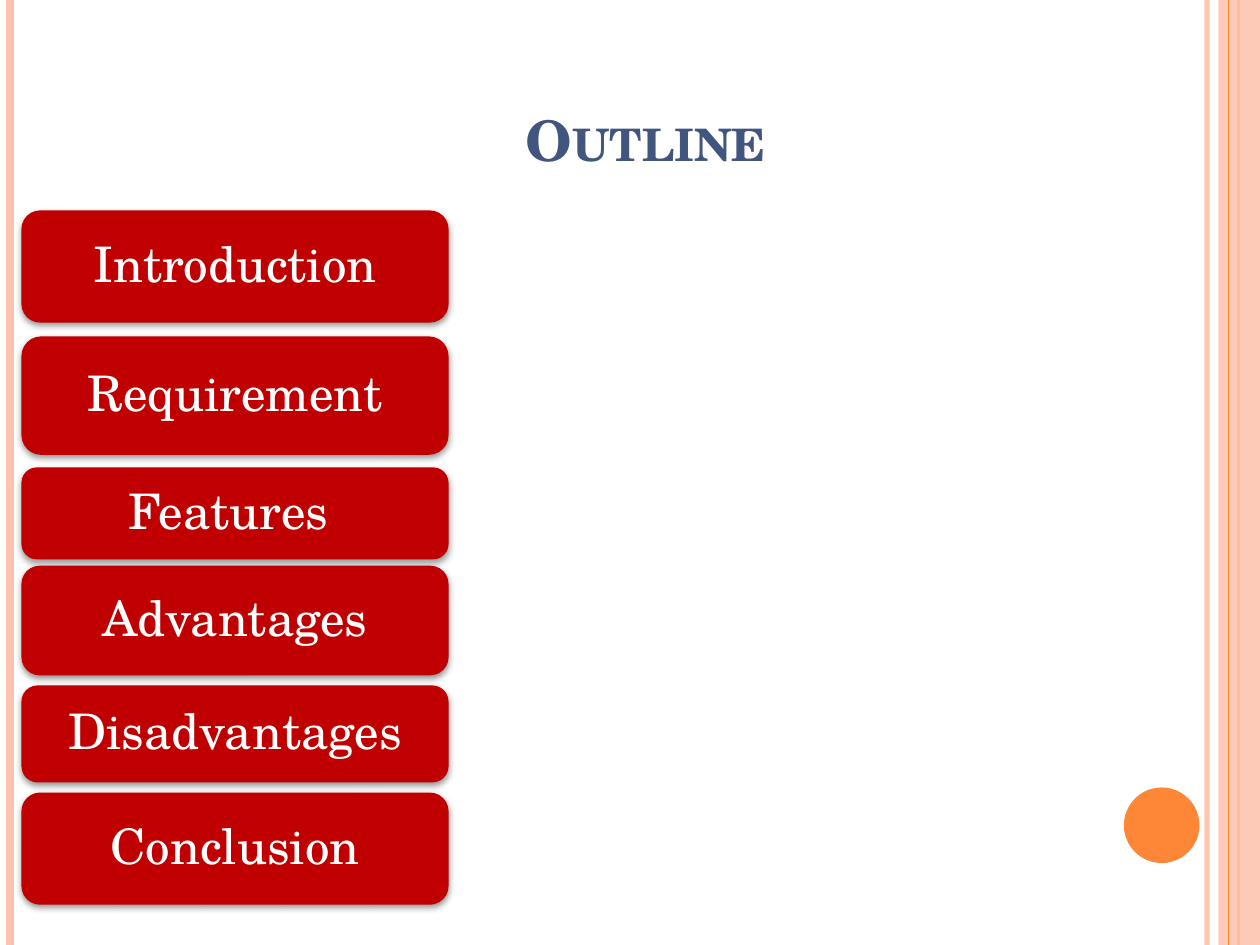
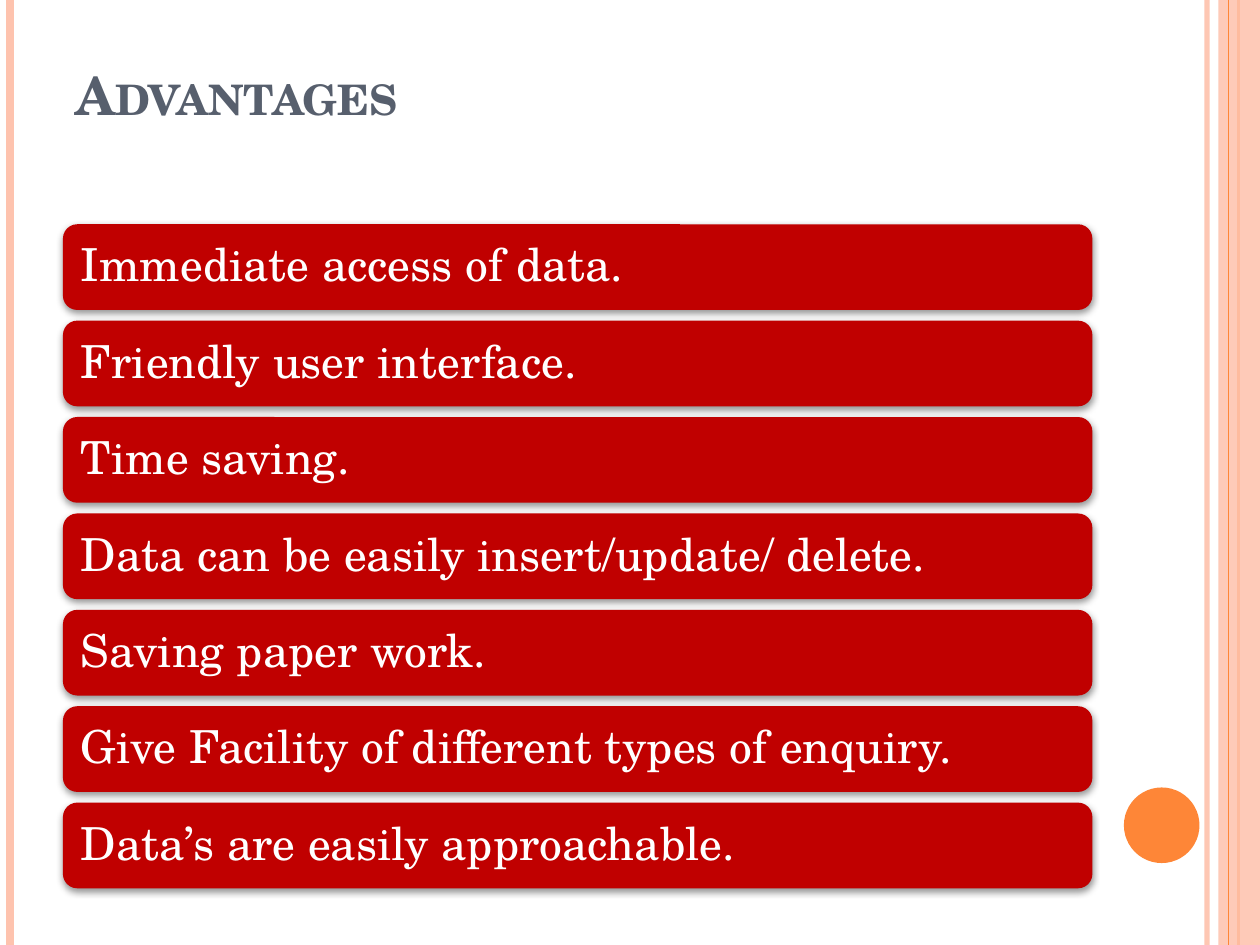
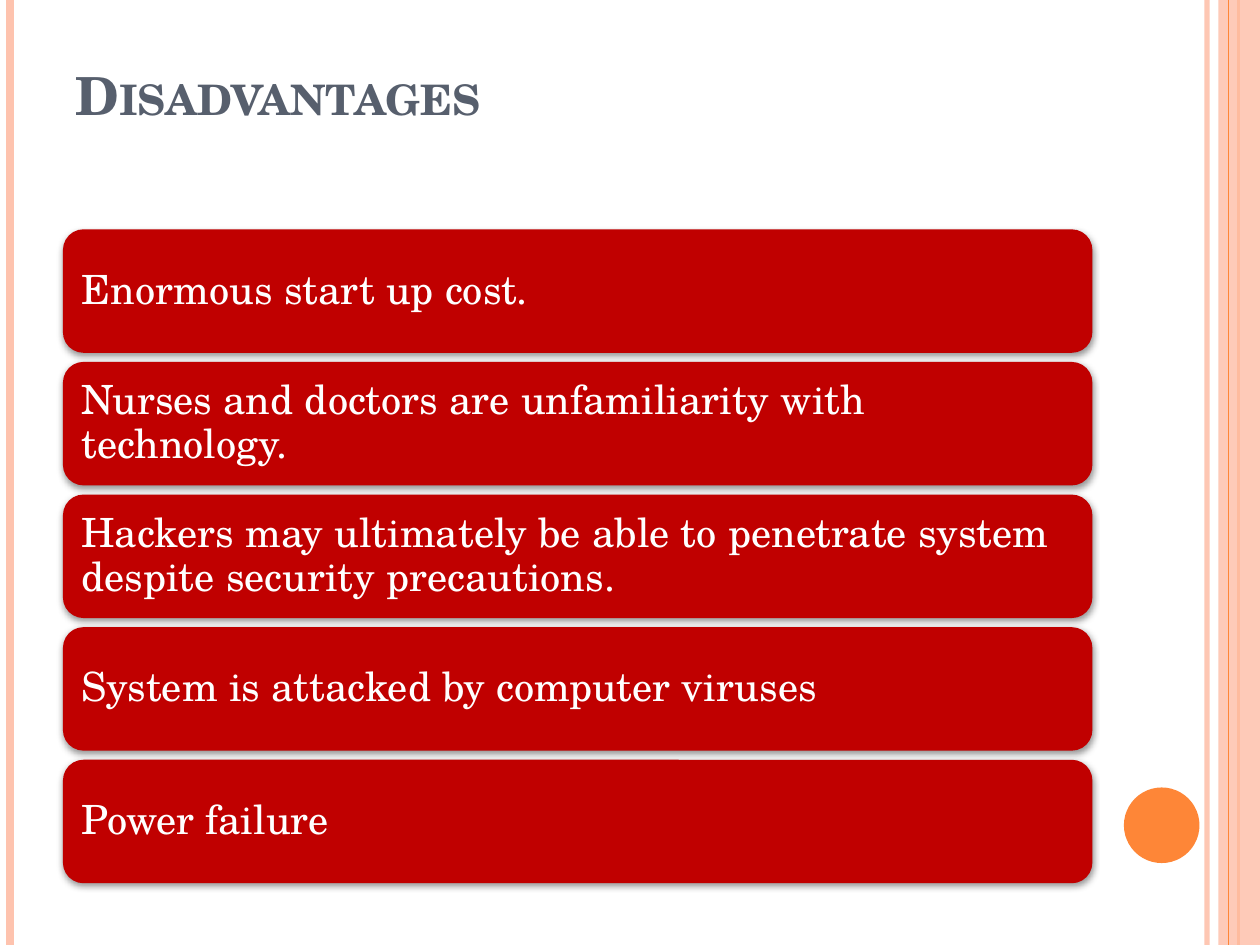
from typing import NamedTuple, Optional

from lxml.etree import SubElement as Sub
from pptx import Presentation
from pptx.dml.color import RGBColor
from pptx.enum.shapes import MSO_CONNECTOR as Wire, MSO_SHAPE as Kind
from pptx.enum.text import MSO_ANCHOR as Anchor, PP_ALIGN as Align
from pptx.oxml.ns import qn
from pptx.util import Inches, Pt

# Shared look
FONT = "TeX Gyre Schola"
PEACH = RGBColor(0xFE, 0xC3, 0xAE)
ORANGE = RGBColor(0xFE, 0x86, 0x37)
RED = RGBColor(0xC0, 0x00, 0x00)
WHITE = RGBColor(0xFF, 0xFF, 0xFF)
BLACK = RGBColor(0x00, 0x00, 0x00)
BLUE = RGBColor(0x42, 0x55, 0x7F)
SLATE = RGBColor(0x57, 0x5F, 0x6D)
WIDE, HIGH = 10, 7.5


class Box(NamedTuple):
    left: float
    top: float
    width: float
    height: float


class Rule(NamedTuple):
    x: float
    color: RGBColor
    weight: float
    alpha: Optional[int] = None


class Title(NamedTuple):
    text: str
    box: Box
    size: int
    color: RGBColor
    align: Align
    foot: float  # space below the words


class Style(NamedTuple):
    size: int
    align: Align
    side: float  # left and right inset
    edge: float  # top and bottom inset


class Bar(NamedTuple):
    text: str
    box: Box


LOW_RULES = [Rule(9.58, PEACH, 3, 93), Rule(0.08, PEACH, 4.5), Rule(9.83, ORANGE, 1.5)]
TOP_RULE = Rule(9.75, ORANGE, 0.75)
BAND = Box(9.67, 0, 0.33, HIGH)
DISC = Box(8.92, 6.25, 0.6, 0.6)
HEAD = Box(0.5, 0.3, 8.17, 1.25)


def place(box: Box) -> list:
    return [Inches(n) for n in box]


def fade(part, alpha: int) -> None:
    """Set the opacity, in percent, of the solid fill inside part."""
    tint = part.find(".//" + qn("a:srgbClr"))
    Sub(tint, qn("a:alpha"), val=str(alpha * 1000))


def draw_rule(slide, rule: Rule) -> None:
    x = Inches(rule.x)
    line = slide.shapes.add_connector(Wire.STRAIGHT, x, 0, x, Inches(HIGH))
    line.line.color.rgb = rule.color
    line.line.width = Pt(rule.weight)
    props = line._element.spPr
    if rule.alpha:
        fade(props, rule.alpha)
    Sub(props, qn("a:effectLst"))


def draw_shape(slide, kind: Kind, box: Box, color: RGBColor):
    shape = slide.shapes.add_shape(kind, *place(box))
    shape.shadow.inherit = False
    shape.fill.solid()
    shape.fill.fore_color.rgb = color
    shape.line.fill.background()
    return shape


def cast_shade(shape) -> None:
    """Add a soft shadow straight below the shape."""
    fx = shape._element.spPr.find(qn("a:effectLst"))
    shade = Sub(fx, qn("a:outerShdw"), blurRad=str(Pt(4)), dist=str(Pt(1.6)),
                dir="5400000", rotWithShape="0")
    Sub(shade, qn("a:srgbClr"), val=str(BLACK))
    fade(shade, 42)


def write(frame, text: str, size: int, color: RGBColor, align: Align):
    frame.word_wrap = True
    para = frame.paragraphs[0]
    para.text = text
    para.alignment = align
    font = para.font
    font.name, font.size, font.color.rgb = FONT, Pt(size), color
    return para


def draw_title(slide, title: Title) -> None:
    frame = slide.shapes.add_textbox(*place(title.box)).text_frame
    frame.vertical_anchor = Anchor.BOTTOM
    frame.margin_bottom = Inches(title.foot)
    para = write(frame, title.text, title.size, title.color, title.align)
    para.font.bold = True
    para.font._element.set("cap", "small")


def draw_bar(slide, bar: Bar, style: Style) -> None:
    shape = draw_shape(slide, Kind.ROUNDED_RECTANGLE, bar.box, RED)
    cast_shade(shape)
    frame = shape.text_frame
    frame.vertical_anchor = Anchor.MIDDLE
    frame.margin_left = frame.margin_right = Inches(style.side)
    frame.margin_top = frame.margin_bottom = Inches(style.edge)
    para = write(frame, bar.text, style.size, WHITE, style.align)
    para.line_spacing = 0.9


def stack(texts: list[str], first: float, last: float, height: float) -> list[Bar]:
    """Equal bars whose tops run evenly from first to last."""
    step = (last - first) / (len(texts) - 1)
    return [Bar(text, Box(HEAD.left, first + i * step, HEAD.width, height))
            for i, text in enumerate(texts)]


def add_page(deck, title: Title, bars: list[Bar], style: Style) -> None:
    slide = deck.slides.add_slide(deck.slide_layouts[6])
    # Side rules, band and disc
    for rule in LOW_RULES:
        draw_rule(slide, rule)
    fade(draw_shape(slide, Kind.RECTANGLE, BAND, PEACH)._element.spPr, 87)
    draw_rule(slide, TOP_RULE)
    draw_shape(slide, Kind.OVAL, DISC, ORANGE)
    # Content
    draw_title(slide, title)
    for bar in bars:
        draw_bar(slide, bar, style)


def list_title(text: str) -> Title:
    return Title(text, HEAD, 30, SLATE, Align.LEFT, 0.55)


OUTLINE = [
    Bar(text, Box(0.17, top, 3.39, height)) for text, top, height in [
        ("Introduction", 1.67, 0.89),
        ("Requirement", 2.67, 0.94),
        ("Features ", 3.71, 0.73),
        ("Advantages", 4.49, 0.87),
        ("Disadvantages", 5.44, 0.77),
        ("Conclusion", 6.29, 0.89),
    ]
]
PROS = [
    "Immediate access of data.",
    "Friendly user interface.",
    "Time saving.",
    "Data can be easily insert/update/ delete.",
    "Saving paper work.",
    "Give Facility of different types of enquiry.",
    "Data’s are easily approachable.",
]
CONS = [
    "Enormous start up cost.",
    "Nurses and doctors are unfamiliarity with technology.",
    "Hackers may ultimately be able to penetrate system despite security precautions.",
    "System is attacked by computer viruses",
    "Power failure",
]


def main() -> None:
    deck = Presentation()
    deck.slide_width, deck.slide_height = Inches(WIDE), Inches(HIGH)
    add_page(deck, Title("Outline", Box(2.5, 0.17, 5.25, 1.25), 32, BLUE, Align.CENTER, 0.05),
             OUTLINE, Style(28, Align.CENTER, 0.12, 0.06))
    add_page(deck, list_title("Advantages"), stack(PROS, 1.78, 6.37, 0.68),
             Style(26, Align.LEFT, 0.11, 0.11))
    add_page(deck, list_title("Disadvantages"), stack(CONS, 1.82, 6.03, 0.98),
             Style(23, Align.LEFT, 0.1, 0.1))
    deck.save("out.pptx")


if __name__ == "__main__":
    main()
